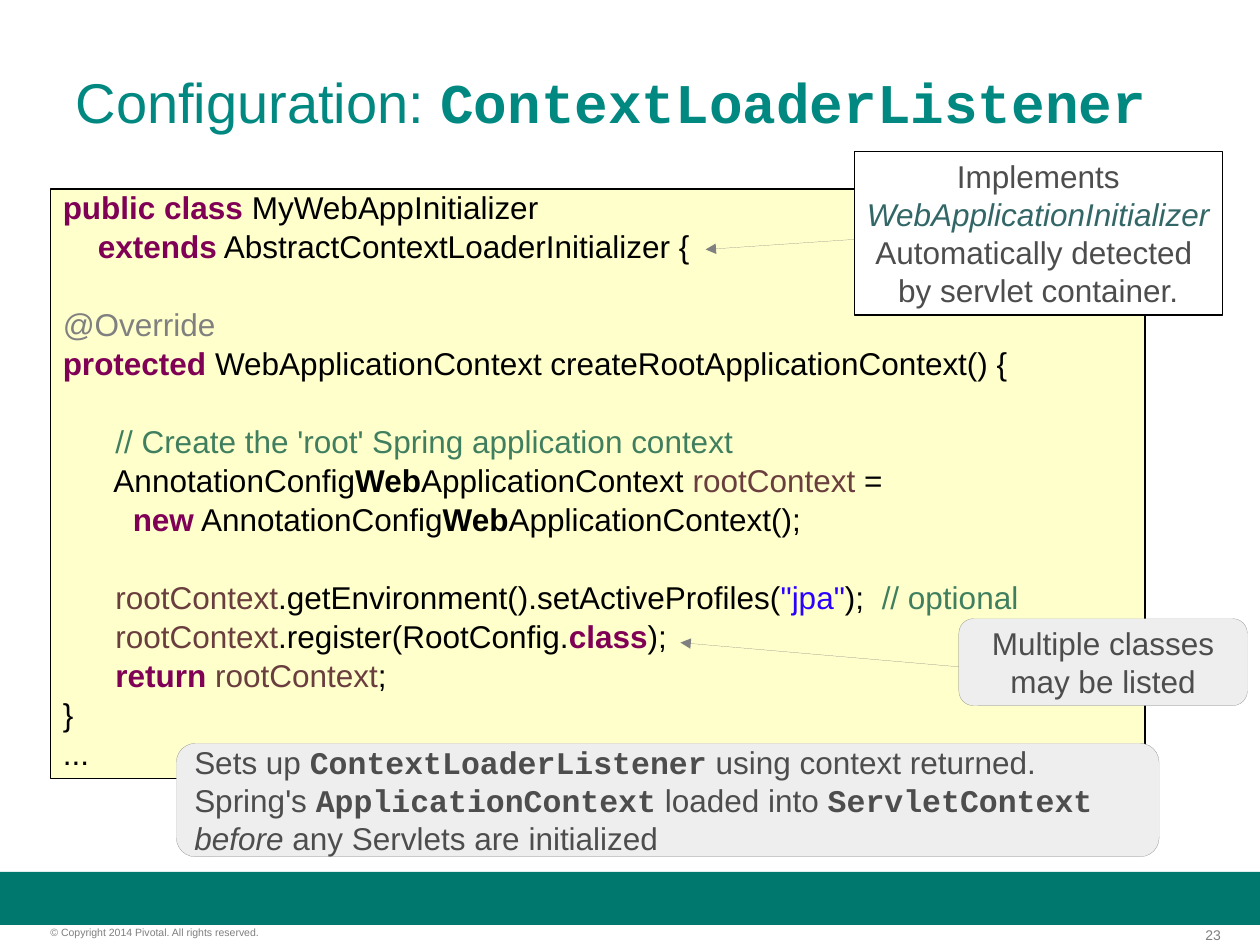
import pptx
import pptx.dml.color
import pptx.enum.shapes
import pptx.enum.text
import pptx.oxml
import pptx.util
from pptx.util import Inches

RGBColor = pptx.dml.color.RGBColor
MSO_SHAPE = pptx.enum.shapes.MSO_SHAPE
ANCHOR = pptx.enum.text.MSO_ANCHOR
ALIGN = pptx.enum.text.PP_ALIGN

HAIRLINE = 0.1
WHITE = RGBColor(0xFF, 0xFF, 0xFF)
BLACK = RGBColor(0x00, 0x00, 0x00)
GREY = RGBColor(0x80, 0x80, 0x80)
FOOTER_GREY = RGBColor(0x7F, 0x7F, 0x7F)
NOTE_TEXT = RGBColor(0x4D, 0x4D, 0x4D)
NOTE_FILL = RGBColor(0xEE, 0xEE, 0xEE)
CODE_FILL = RGBColor(0xFF, 0xFF, 0xCC)
BAND_GREEN = RGBColor(0x00, 0x78, 0x6E)
TITLE_GREEN = RGBColor(0x00, 0x88, 0x81)
TYPE_GREEN = RGBColor(0x33, 0x66, 0x66)

PLAIN = {}
BOLD = {"bold": True}
ITALIC = {"italic": True}
MONO = {"name": "Courier New", "bold": True}
INTERFACE = {"color": TYPE_GREEN, "italic": True}
KEYWORD = {"color": RGBColor(0x7F, 0x00, 0x55), "bold": True}
COMMENT = {"color": RGBColor(0x3F, 0x7F, 0x5F)}
VARIABLE = {"color": RGBColor(0x6A, 0x3E, 0x3E)}
STRING = {"color": RGBColor(0x2A, 0x00, 0xFF)}
ANNOTATION = {"color": GREY}

CODE = [
    [("public class", KEYWORD), (" MyWebAppInitializer", PLAIN)],
    [("    ", BOLD), ("extends", KEYWORD), (" AbstractContextLoaderInitializer {", PLAIN)],
    [],
    [("@Override", ANNOTATION)],
    [("protected", KEYWORD), (" WebApplicationContext createRootApplicationContext() {", PLAIN)],
    [],
    [("      ", PLAIN), ("// Create the 'root' Spring application context", COMMENT)],
    [("      AnnotationConfig", PLAIN), ("Web", BOLD), ("ApplicationContext ", PLAIN),
     ("rootContext", VARIABLE), (" =", PLAIN)],
    [("        ", PLAIN), ("new", KEYWORD), (" AnnotationConfig", PLAIN), ("Web", BOLD),
     ("ApplicationContext();", PLAIN)],
    [],
    [("      ", PLAIN), ("rootContext", VARIABLE),
     (".getEnvironment().setActiveProfiles(", PLAIN), ('"jpa"', STRING), (");  ", PLAIN),
     ("// optional", COMMENT)],
    [("      ", PLAIN), ("rootContext", VARIABLE), (".register(RootConfig.", PLAIN),
     ("class", KEYWORD), (");", PLAIN)],
    [("      ", PLAIN), ("return ", KEYWORD), ("rootContext", VARIABLE), (";", PLAIN)],
    [("}", PLAIN)],
    [("...", PLAIN)],
]
INITIALIZER_NOTE = [
    [("Implements", PLAIN)],
    [("WebApplicationInitializer", INTERFACE)],
    [("Automatically detected ", PLAIN)],
    [("by servlet container.", PLAIN)],
]
CLASSES_NOTE = [[("Multiple classes", PLAIN)], [("may be listed", PLAIN)]]
LISTENER_NOTE = [
    [("Sets up ", PLAIN), ("ContextLoaderListener", MONO), (" using context returned.", PLAIN)],
    [("Spring's ", PLAIN), ("ApplicationContext", MONO), (" loaded into ", PLAIN),
     ("ServletContext ", MONO), ("before", ITALIC), (" any Servlets are initialized", PLAIN)],
]


def write_lines(text_frame, lines, color, size=18, align=ALIGN.LEFT):
    """Write one paragraph per line; each line is a list of (text, style) runs."""
    for index, line in enumerate(lines):
        paragraph = text_frame.paragraphs[0] if index == 0 else text_frame.add_paragraph()
        paragraph.alignment = align
        for text, style in line:
            run = paragraph.add_run()
            run.text = text
            run.font.name = style.get("name", "Arial")
            run.font.size = pptx.util.Pt(size)
            run.font.bold = style.get("bold", False)
            run.font.italic = style.get("italic", False)
            run.font.color.rgb = style.get("color", color)


def add_panel(slide, box, preset, fill, line=None, line_width=HAIRLINE, anchor=ANCHOR.MIDDLE):
    shape = slide.shapes.add_shape(preset, *map(Inches, box))
    shape.shadow.inherit = False
    shape.fill.solid()
    shape.fill.fore_color.rgb = fill
    if line is None:
        shape.line.fill.background()
    else:
        shape.line.color.rgb = line
        shape.line.width = pptx.util.Pt(line_width)
    shape.text_frame.word_wrap = True
    shape.text_frame.vertical_anchor = anchor
    return shape


def add_title(slide, box):
    title = slide.shapes.title
    title.left, title.top, title.width, title.height = map(Inches, box)
    title.text_frame.vertical_anchor = ANCHOR.MIDDLE
    runs = [("Configuration: ", PLAIN), ("ContextLoaderListener", MONO)]
    write_lines(title.text_frame, [runs], TITLE_GREEN, size=32)


def add_code(slide, box):
    panel = add_panel(slide, box, MSO_SHAPE.RECTANGLE, CODE_FILL, BLACK, 1, ANCHOR.TOP)
    write_lines(panel.text_frame, CODE, BLACK)
    for index, paragraph in enumerate(panel.text_frame.paragraphs):
        paragraph.line_spacing = 0.8
        paragraph.space_before = pptx.util.Pt(5 if index else 0)


def add_boxed_note(slide, box, lines):
    panel = add_panel(slide, box, MSO_SHAPE.RECTANGLE, WHITE, BLACK, 0.75, ANCHOR.TOP)
    panel.text_frame.word_wrap = False
    write_lines(panel.text_frame, lines, NOTE_TEXT, align=ALIGN.CENTER)


def add_rounded_note(slide, box, lines, align):
    panel = add_panel(slide, box, MSO_SHAPE.ROUNDED_RECTANGLE, NOTE_FILL, GREY)
    write_lines(panel.text_frame, lines, NOTE_TEXT, align=align)


def add_arrow(slide, start, end):
    arrow = slide.shapes.add_connector(
        pptx.enum.shapes.MSO_CONNECTOR.STRAIGHT, *map(Inches, start + end))
    arrow.line.color.rgb = GREY
    arrow.line.width = pptx.util.Pt(HAIRLINE)
    namespace = pptx.oxml.ns.nsdecls("a")
    line = arrow.line._get_or_add_ln()
    line.append(pptx.oxml.parse_xml(f'<a:tailEnd {namespace} type="triangle"/>'))
    line.addnext(pptx.oxml.parse_xml(f"<a:effectLst {namespace}/>"))


def add_footer_text(slide, box, text, size, align):
    frame = slide.shapes.add_textbox(*map(Inches, box)).text_frame
    frame.word_wrap = True
    frame.margin_left = frame.margin_right = frame.margin_top = frame.margin_bottom = 0
    write_lines(frame, [[(text, PLAIN)]], FOOTER_GREY, size, align)


def add_footer(slide, box):
    left, top, width, height = box
    text_top = top + height + 0.01
    add_panel(slide, box, MSO_SHAPE.RECTANGLE, BAND_GREEN)
    add_footer_text(slide, (left + width - 0.66, text_top, 0.35, 0.13), "23", 8, ALIGN.RIGHT)
    add_footer_text(slide, (left + 0.4, text_top, 2.49, 0.1),
                    "© Copyright 2014 Pivotal. All rights reserved.", 6, ALIGN.LEFT)


def main():
    presentation = pptx.Presentation()
    presentation.slide_width = Inches(10)
    presentation.slide_height = Inches(7.5)
    slide = presentation.slides.add_slide(presentation.slide_layouts.get_by_name("Title Only"))
    add_footer(slide, (0, 6.92, 10, 0.42))
    add_title(slide, (0.5, 0.28, 9, 1.04))
    add_code(slide, (0.4, 1.5, 8.69, 4.68))
    add_boxed_note(slide, (6.78, 1.2, 2.92, 1.3), INITIALIZER_NOTE)
    add_arrow(slide, (6.78, 1.9), (5.6, 1.98))
    add_arrow(slide, (7.7, 5.3), (5.4, 5.1))
    add_rounded_note(slide, (1.4, 5.9, 7.8, 0.9), LISTENER_NOTE, ALIGN.LEFT)
    add_rounded_note(slide, (7.61, 4.91, 2.29, 0.69), CLASSES_NOTE, ALIGN.CENTER)
    presentation.save("out.pptx")


if __name__ == "__main__":
    main()
